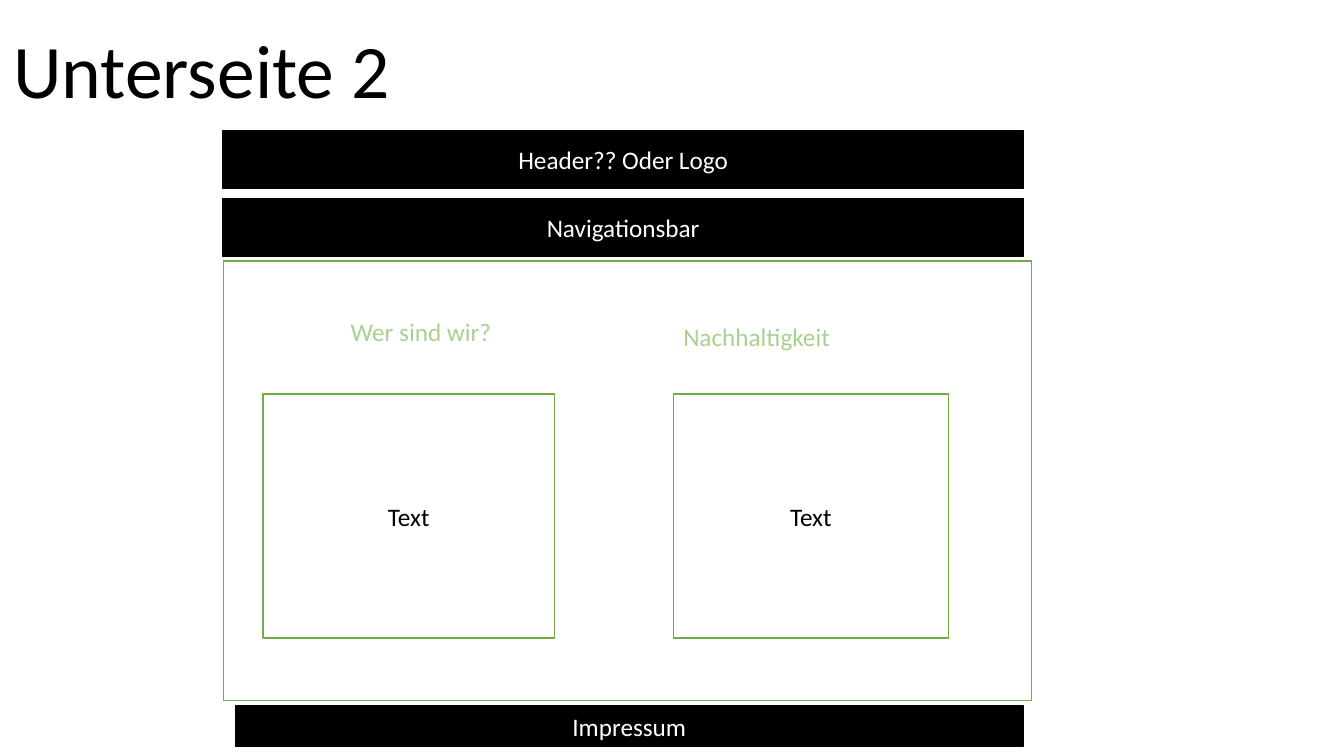
from pptx import Presentation
from pptx.dml.color import RGBColor
from pptx.enum.shapes import MSO_SHAPE as Shape
from pptx.enum.text import MSO_ANCHOR as Anchor, MSO_AUTO_SIZE as Fit, PP_ALIGN as Align
from pptx.util import Cm, Pt

BLACK = RGBColor(0x00, 0x00, 0x00)
WHITE = RGBColor(0xFF, 0xFF, 0xFF)
GREEN = RGBColor(0x70, 0xAD, 0x47)
LIGHT = RGBColor(0xA9, 0xD1, 0x8E)


class Page:
    font = "Calibri"
    size = 18

    def __init__(self, deck):
        self.slide = deck.slides.add_slide(deck.slide_layouts[6])

    def fill_text(self, frame, form, text, color, size, align):
        for key, value in form.items():
            setattr(frame, key, value)
        para = frame.paragraphs[0]
        para.alignment = align
        run = para.add_run()
        run.text = text
        for key, value in {"name": self.font, "size": Pt(size)}.items():
            setattr(run.font, key, value)
        run.font.color.rgb = color

    def label(self, area, text, color, size=size, align=Align.LEFT):
        frame = self.slide.shapes.add_textbox(*map(Cm, area)).text_frame
        form = {"word_wrap": False, "auto_size": Fit.SHAPE_TO_FIT_TEXT}
        self.fill_text(frame, form, text, color, size, align)

    def box(self, area, fill, line, text="", color=WHITE):
        shape = self.slide.shapes.add_shape(Shape.RECTANGLE, *map(Cm, area))
        shape.shadow.inherit = False
        shape.fill.solid()
        shape.fill.fore_color.rgb = fill
        shape.line.color.rgb = line
        shape.line.width = Pt(1)
        if text:
            form = {"word_wrap": True, "vertical_anchor": Anchor.MIDDLE}
            self.fill_text(shape.text_frame, form, text, color, self.size, Align.CENTER)

    def bar(self, area, text):
        self.box(area, BLACK, BLACK, text)

    def panel(self, area, text=""):
        self.box(area, WHITE, GREEN, text, BLACK)


def main():
    deck = Presentation()
    deck.slide_width, deck.slide_height = Cm(33.87), Cm(19.05)
    page = Page(deck)

    page.label((0.03, 0.46, 10.11, 2.57), "Unterseite 2", BLACK, 54, Align.CENTER)
    page.panel((5.64, 6.58, 20.35, 11.07))

    page.bar((5.61, 5, 20.19, 1.45), "Navigationsbar")
    page.bar((5.61, 3.3, 20.19, 1.45), "Header?? Oder Logo")
    page.bar((5.94, 17.78, 19.84, 1.04), "Impressum")

    page.label((8.59, 7.85, 4.09, 1.02), "Wer sind wir?", LIGHT)
    page.label((16.97, 7.98, 4.24, 1.02), "Nachhaltigkeit", LIGHT)

    for left, width in ((6.63, 7.34), (16.97, 6.93)):
        page.panel((left, 9.93, width, 6.15), "Text")

    deck.save("out.pptx")


if __name__ == "__main__":
    main()
